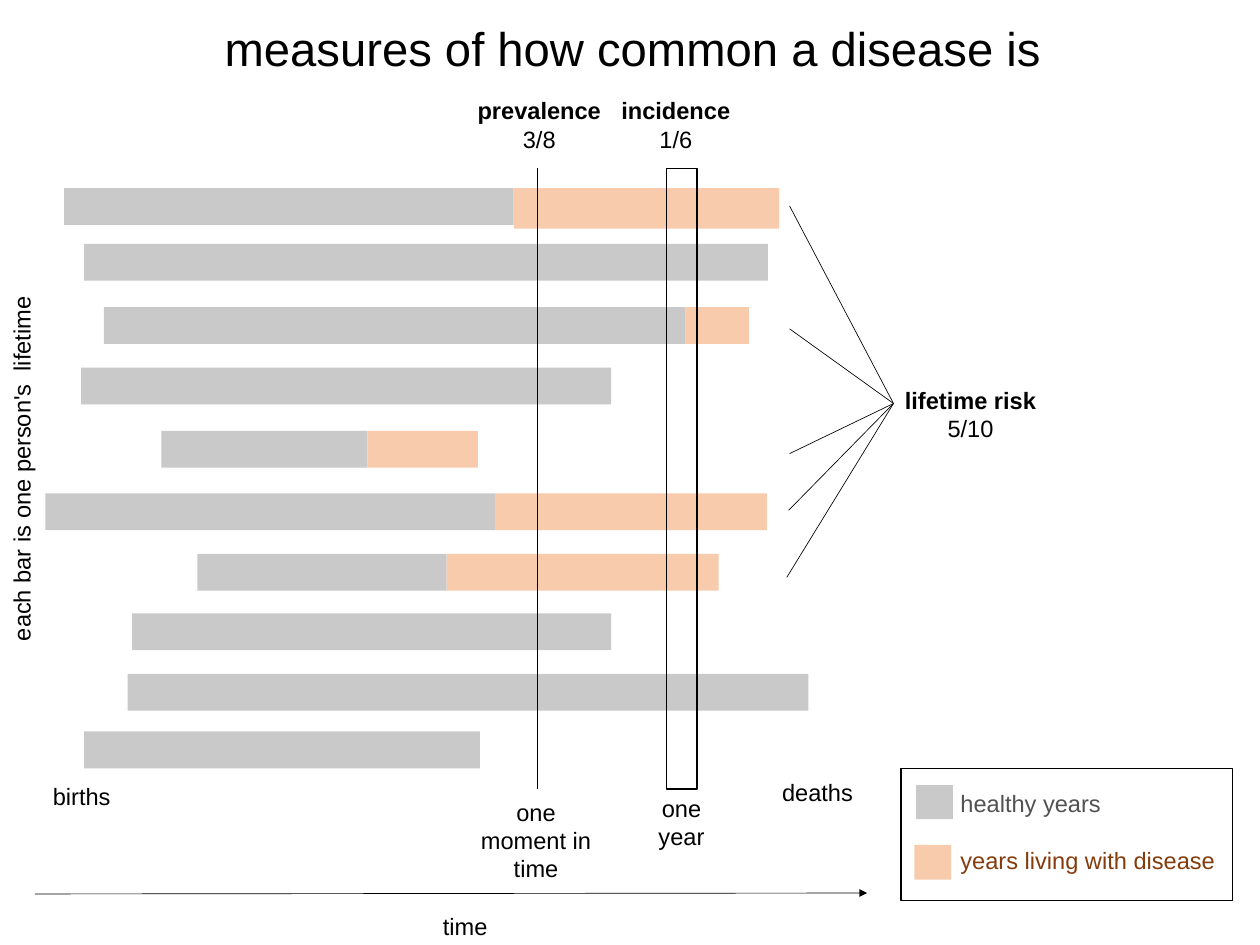
from pptx import Presentation
from pptx.util import Inches, Pt
from pptx.dml.color import RGBColor
from pptx.enum.shapes import MSO_SHAPE as Shape, MSO_CONNECTOR as Link
from pptx.enum.text import PP_ALIGN as Align, MSO_ANCHOR as Anchor, MSO_AUTO_SIZE as Fit
from pptx.oxml.ns import qn
from lxml import etree

HUES = {
    "ink": "000000",
    "well": "C9C9C9",
    "sick": "F8CBAD",
    "well text": "525252",
    "sick text": "843C0C",
}

deck = Presentation()
deck.slide_width, deck.slide_height = Inches(13.34), Inches(10)
slide = deck.slides.add_slide(deck.slide_layouts[5])
shapes = slide.shapes


def write(lines, left, top, width, height, box=None, size=18, hues=("ink",),
          bold=False, side=0.1, align=Align.CENTER, gap=0, turn=0):
    """Write one paragraph per line; bold marks the first line only."""
    box = box or shapes.add_textbox(0, 0, 0, 0)
    box.left, box.top = Inches(left), Inches(top)
    box.width, box.height = Inches(width), Inches(height)
    box.rotation = turn
    frame = box.text_frame
    frame.word_wrap = True
    frame.auto_size = Fit.NONE
    frame.margin_left = frame.margin_right = Inches(side)
    frame.vertical_anchor = Anchor.TOP
    for i, line in enumerate(lines):
        para = frame.add_paragraph() if i else frame.paragraphs[0]
        para.alignment = align
        para.space_before = Pt(gap if i else 0)
        run = para.add_run()
        run.text = line
        font = run.font
        font.name, font.size = "Arial", Pt(size)
        font.bold = bold and i == 0
        font.color.rgb = RGBColor.from_string(HUES[hues[i % len(hues)]])


def draw(left, top, width, height, fill=None):
    """Draw a filled block, or an outlined frame when no fill is given."""
    rect = shapes.add_shape(Shape.RECTANGLE, Inches(left), Inches(top),
                            Inches(width), Inches(height))
    rect.shadow.inherit = False
    if fill:
        rect.fill.solid()
        rect.fill.fore_color.rgb = RGBColor.from_string(HUES[fill])
        rect.line.fill.background()
    else:
        rect.fill.background()
        rect.line.color.rgb = RGBColor.from_string(HUES["ink"])
        rect.line.width = Pt(0.99)


# Title
write(["measures of how common a disease is"], 2.28, 0.15, 8.84, 0.7,
      box=shapes.title, size=36, side=0)

# Lifetimes: top, birth, onset of disease (if any), death, height when sick
lives = [
    (1.99, 0.68, 5.44, 8.25, 0.43),
    (2.58, 0.89, None, 8.13, 0),
    (3.25, 1.10, 7.26, 7.93, 0.39),
    (3.89, 0.86, None, 6.47, 0),
    (4.56, 1.71, 3.89, 5.06, 0.39),
    (5.22, 0.48, 5.24, 8.12, 0.39),
    (5.86, 2.09, 4.73, 7.61, 0.39),
    (6.49, 1.40, None, 6.47, 0),
    (7.13, 1.35, None, 8.56, 0),
    (7.74, 0.89, None, 5.08, 0),
]
for top, birth, onset, death, tall in lives:
    draw(birth, top, (onset or death) - birth, 0.39, "well")
    if onset:
        draw(onset, top, death - onset, tall, "sick")

# One-year window and legend
draw(7.06, 1.78, 0.32, 6.57)
draw(9.54, 8.13, 3.51, 1.4)
draw(9.7, 8.31, 0.39, 0.36, "well")
draw(9.68, 8.94, 0.39, 0.37, "sick")
write(["healthy years", "years living with disease"], 10.07, 8.3, 3.55, 1.3,
      hues=("well text", "sick text"), align=Align.LEFT, gap=21.5)

# Moment line, time arrow and rays to the lifetime risk
moment = (5.69, 1.78, 5.69, 8.35)
axis = (0.37, 9.46, 9.18, 9.45)
starts = [(8.36, 2.18), (8.36, 3.48), (8.36, 4.8), (8.35, 5.4), (8.33, 6.11)]
rays = [(x, y, 9.46, 4.27) for x, y in starts]
for ends in [moment, axis, *rays]:
    link = shapes.add_connector(Link.STRAIGHT, *map(Inches, ends))
    link.line.color.rgb = RGBColor.from_string(HUES["ink"])
    link.line.width = Pt(0.51)
    if ends == axis:
        tail = etree.SubElement(link.line._get_or_add_ln(), qn("a:tailEnd"))
        tail.set("type", "triangle")
    etree.SubElement(link._element.spPr, qn("a:effectLst"))

# Measures
for name, ratio, left, top, width in [
    ("prevalence", "3/8", 4.96, 0.97, 1.5),
    ("incidence", "1/6", 6.48, 0.97, 1.35),
    ("lifetime risk", "5/10", 9.48, 4.03, 1.59),
]:
    write([name, ratio], left, top, width, 0.7, bold=True, side=0)

# Labels
for text, left, top, width, height in [
    ("one moment in time", 4.95, 8.39, 1.45, 1),
    ("one year", 6.7, 8.35, 1.03, 0.7),
    ("births", 0.14, 8.23, 1.45, 0.4),
    ("deaths", 7.93, 8.18, 1.45, 0.4),
    ("time", 4.2, 9.6, 1.45, 0.4),
]:
    write([text], left, top, width, height)
write(["each bar is one person's  lifetime"], -2.15, 4.76, 4.75, 0.4, turn=270)

deck.save("out.pptx")
